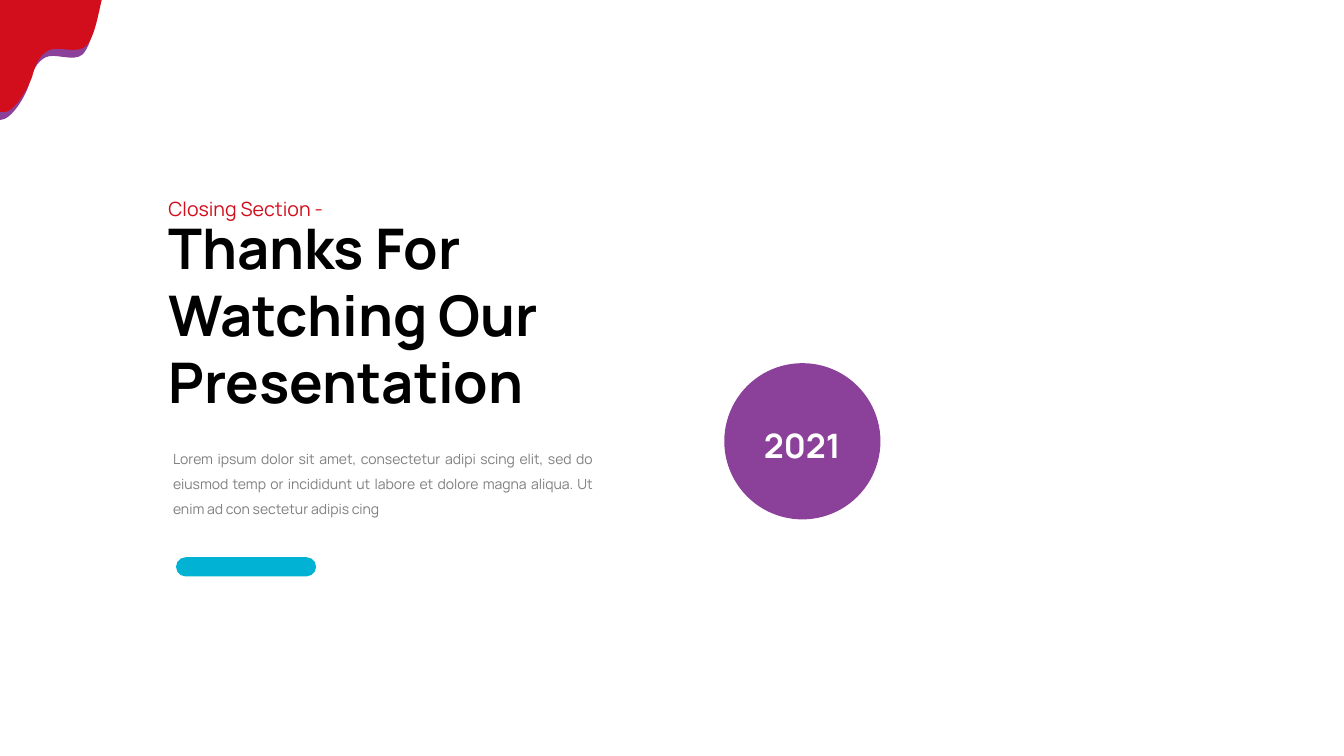
import pptx
import pptx.dml.color
import pptx.enum.shapes
import pptx.enum.text
import pptx.oxml
import pptx.oxml.ns
import pptx.util

Pt = pptx.util.Pt
Align = pptx.enum.text.PP_ALIGN
Preset = pptx.enum.shapes.MSO_SHAPE

RED, PURPLE, CYAN = "D20E1C", "8B409A", "01B2D4"
BLACK, GREY, WHITE = "000000", "7F7F7F", "FFFFFF"


def color(hex_string):
    return pptx.dml.color.RGBColor.from_string(hex_string)


class ClosingSlide:
    font_name = "Manrope"

    def __init__(self, presentation):
        self.slide = presentation.slides.add_slide(presentation.slide_layouts[6])

    def paint(self, shape, fill):
        shape.shadow.inherit = False
        shape.fill.solid()
        shape.fill.fore_color.rgb = color(fill)
        shape.line.fill.background()
        return shape

    def shape(self, preset, left, top, width, height, fill):
        shape = self.slide.shapes.add_shape(
            preset, Pt(left), Pt(top), Pt(width), Pt(height))
        return self.paint(shape, fill)

    def corner_blob(self, top, edge, curves, fill):
        """Fill the slide corner down to a wavy edge made of joined curves."""
        points = [(0, top), edge] + [point for curve in curves for point in curve]
        points.append((0, points[-1][1]))
        outline = [(Pt(x), Pt(y)) for x, y in points]
        builder = self.slide.shapes.build_freeform(*outline[0])
        builder.add_line_segments(outline[1:], close=True)
        shape = builder.convert_to_shape()

        # Each three lines after the edge become one cubic curve
        lines = list(shape.element.iter(pptx.oxml.ns.qn("a:lnTo")))
        for index in range(1, 1 + 3 * len(curves), 3):
            cubic = pptx.oxml.parse_xml(
                f"<a:cubicBezTo {pptx.oxml.ns.nsdecls('a')}/>")
            lines[index].addprevious(cubic)
            for line in lines[index:index + 3]:
                cubic.append(line[0])
                line.getparent().remove(line)
        return self.paint(shape, fill)

    def text(self, left, top, width, height, words, size, fill,
             bold=False, align=Align.LEFT, spacing=1.5):
        box = self.slide.shapes.add_textbox(
            Pt(left), Pt(top), Pt(width), Pt(height))
        frame = box.text_frame
        frame.word_wrap = True
        frame.auto_size = pptx.enum.text.MSO_AUTO_SIZE.SHAPE_TO_FIT_TEXT
        paragraph = frame.paragraphs[0]
        paragraph.alignment = align
        paragraph.line_spacing = spacing
        run = paragraph.add_run()
        run.text = words
        run.font.name = self.font_name
        run.font.size = Pt(size)
        run.font.bold = bold
        run.font.color.rgb = color(fill)
        return box


def main():
    presentation = pptx.Presentation()
    presentation.slide_width = Pt(960.5)
    presentation.slide_height = Pt(540)
    closing = ClosingSlide(presentation)

    # Year circle
    closing.shape(Preset.OVAL, 517.6, 259.4, 111.6, 111.6, PURPLE)

    # Wavy corner: purple rim under the red blob
    closing.corner_blob(5.8, (70.6, 5.8), [
        ((68.4, 13), (65.5, 32.4), (59, 38.9)),
        ((52.6, 44.6), (38.9, 37.4), (32.4, 41)),
        ((25.9, 44.6), (23, 51.1), (20.9, 59.8)),
        ((18.7, 67.7), (8.6, 85.7), (0, 85.7)),
    ], PURPLE)
    closing.corner_blob(0, (72.7, 0), [
        ((70.6, 7.9), (67.7, 27.4), (61.2, 33.1)),
        ((54.7, 38.9), (41, 32.4), (34.6, 36)),
        ((28.1, 39.6), (25.2, 46.1), (23, 54.7)),
        ((20.2, 62.6), (9.4, 82.8), (0.7, 79.9)),
    ], RED)

    # Heading, section label and body
    closing.text(113.3, 148.8, 317.5, 151.2, "Thanks For Watching Our Presentation",
                 40, BLACK, bold=True, spacing=1.0)
    closing.text(113.3, 128.6, 172, 32.4, "Closing Section -",
                 14, RED, align=Align.JUSTIFY)
    closing.text(116.6, 312.2, 314, 61.2,
                 "Lorem ipsum dolor sit amet, consectetur adipi scing elit, sed do "
                 "eiusmod temp or incididunt ut labore et dolore magna aliqua. Ut "
                 "enim ad con sectetur adipis cing",
                 10, GREY, align=Align.JUSTIFY)

    # Accent bar
    bar = closing.shape(Preset.ROUNDED_RECTANGLE, 125.8, 398, 100.1, 13.7, CYAN)
    bar.adjustments[0] = 0.5

    # Year
    closing.text(538, 285.5, 70.6, 50.4, "2021", 24, WHITE,
                 bold=True, align=Align.CENTER)

    presentation.save("out.pptx")


if __name__ == "__main__":
    main()
